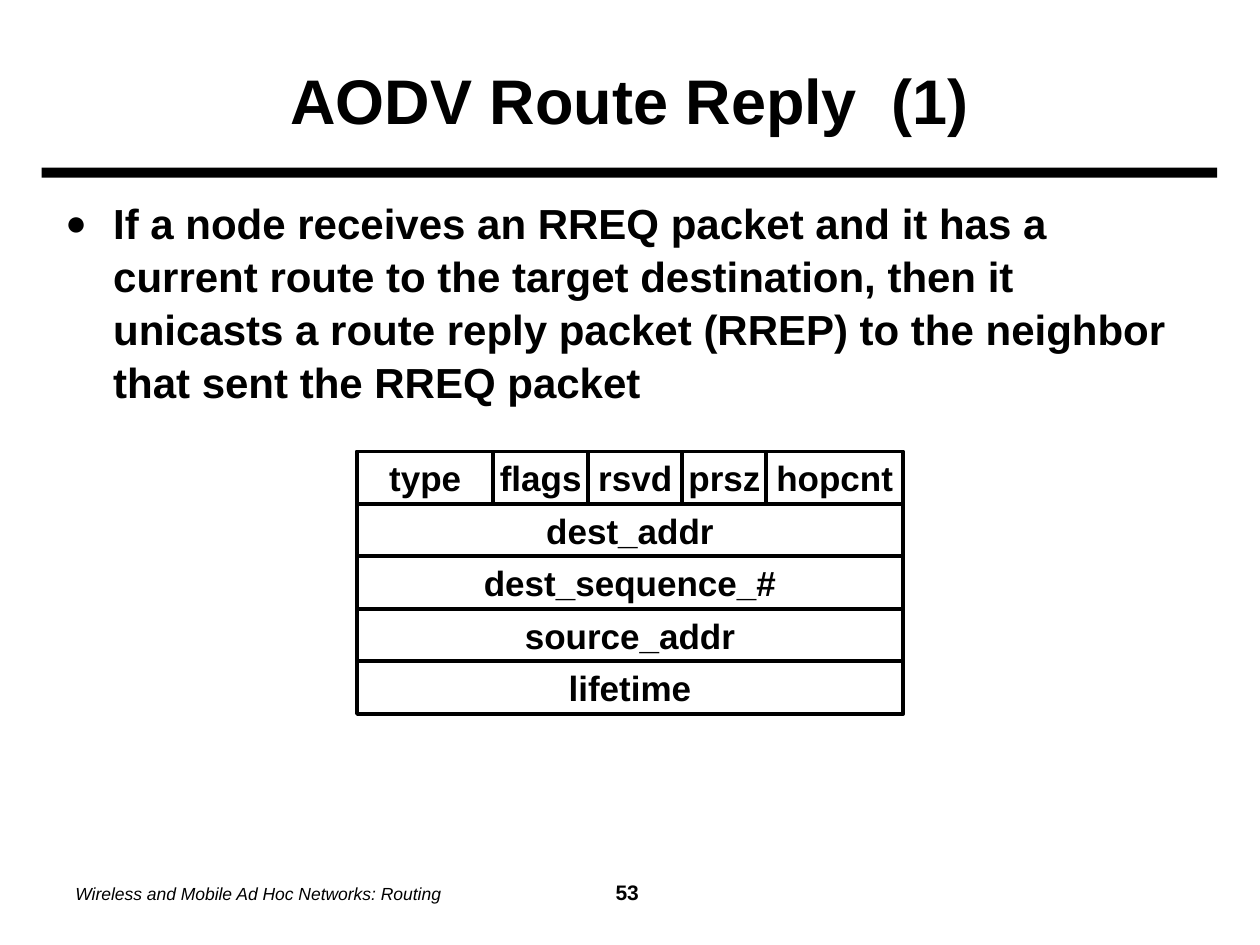
from dataclasses import dataclass

from lxml.etree import SubElement
from pptx import Presentation
from pptx.dml.color import RGBColor
from pptx.enum.shapes import MSO_SHAPE as Shape
from pptx.enum.text import MSO_ANCHOR as Anchor, MSO_AUTO_SIZE as AutoSize, PP_ALIGN as Align
from pptx.oxml.ns import qn
from pptx.util import Inches, Pt


@dataclass(frozen=True)
class Theme:
    font: str = "Arial"
    ink: RGBColor = RGBColor(0, 0, 0)
    paper: RGBColor = RGBColor(255, 255, 255)
    title: int = 36
    body: int = 24
    field: int = 20
    number: int = 12
    footer: int = 10


THEME = Theme()

# Packet layout: rows of (field name, width in twelfths of an inch)
UNIT = 1 / 12
ROW_HEIGHT = 5 * UNIT
PACKET_LEFT, PACKET_TOP = 34 * UNIT, 43 * UNIT
PACKET_ROWS = [
    [("type", 13), ("flags", 9), ("rsvd", 9), ("prsz", 8), ("hopcnt", 13)],
    [("dest_addr", 52)],
    [("dest_sequence_#", 52)],
    [("source_addr", 52)],
    [("lifetime", 52)],
]


def assign(target, values):
    for name, value in values.items():
        setattr(target, name, value)


def place(shape, left, top, width, height):
    assign(shape, {"left": Inches(left), "top": Inches(top),
                   "width": Inches(width), "height": Inches(height)})


def add_span(para, text, size, bold=True, italic=False):
    span = para.add_run()
    span.text = text
    assign(span.font, {"name": THEME.font, "size": Pt(size), "bold": bold, "italic": italic})
    span.font.color.rgb = THEME.ink


def first_para(shape, anchor=Anchor.MIDDLE, align=Align.LEFT, wrap=True):
    frame = shape.text_frame
    assign(frame, {"word_wrap": wrap, "auto_size": AutoSize.NONE, "vertical_anchor": anchor})
    para = frame.paragraphs[0]
    para.alignment = align
    return para


def add_text_box(slide, *bounds, anchor=Anchor.MIDDLE):
    box = slide.shapes.add_textbox(*map(Inches, bounds))
    return first_para(box, anchor)


def add_rect(slide, left, top, width, height, fill, outline=None):
    rect = slide.shapes.add_shape(Shape.RECTANGLE, *map(Inches, (left, top, width, height)))
    rect.shadow.inherit = False
    rect.fill.solid()
    rect.fill.fore_color.rgb = fill
    if outline:
        rect.line.color.rgb = THEME.ink
        rect.line.width = Pt(outline)
    else:
        rect.line.fill.background()
    return rect


def add_bullet(para, indent):
    props = para._p.get_or_add_pPr()
    props.set("marL", str(Inches(indent)))
    props.set("indent", str(-Inches(indent)))
    SubElement(props, qn("a:buSzPct"), val="85000")
    SubElement(props, qn("a:buFont"), typeface=THEME.font)
    SubElement(props, qn("a:buChar"), char="●")


def add_tab(para, position, align):
    tabs = SubElement(para._p.get_or_add_pPr(), qn("a:tabLst"))
    SubElement(tabs, qn("a:tab"), pos=str(Inches(position)), algn=align)


def add_title(slide, text):
    title = slide.shapes.title
    place(title, 0.5, 0.25, 9, 1.08)
    add_span(first_para(title, align=Align.CENTER), text, THEME.title)


def add_footer(slide, text, number):
    para = add_text_box(slide, 0.5, 6.83, 9, 0.5)
    add_tab(para, 4.38, "ctr")
    add_span(para, text, THEME.footer, bold=False, italic=True)
    add_span(para, f"\t{number}", THEME.number)


def add_body(slide, text):
    para = add_text_box(slide, 0.42, 1.5, 9.08, 5.25, anchor=Anchor.TOP)
    para.line_spacing = 1.05
    add_bullet(para, 0.38)
    add_span(para, text, THEME.body)


def add_packet(slide):
    for row, fields in enumerate(PACKET_ROWS):
        left = PACKET_LEFT
        for name, units in fields:
            width = units * UNIT
            field = add_rect(slide, left, PACKET_TOP + row * ROW_HEIGHT, width, ROW_HEIGHT,
                             THEME.paper, outline=2.25)
            para = first_para(field, align=Align.CENTER, wrap=False)
            add_span(para, name, THEME.field)
            left += width


def main():
    deck = Presentation()
    assign(deck, {"slide_width": Inches(10), "slide_height": Inches(7.5)})
    slide = deck.slides.add_slide(deck.slide_layouts.get_by_name("Title Only"))

    # Frame of the page: rule, footer and title
    add_rect(slide, 0.33, 1.33, 9.33, 0.08, THEME.ink)
    add_footer(slide, "Wireless and Mobile Ad Hoc Networks: Routing", 53)
    add_title(slide, "AODV Route Reply  (1)")

    # Explanation and packet format
    add_body(slide, "If a node receives an RREQ packet and it has a current route to the "
                    "target destination, then it unicasts a route reply packet (RREP) to "
                    "the neighbor that sent the RREQ packet")
    add_packet(slide)

    deck.save("out.pptx")


if __name__ == "__main__":
    main()
